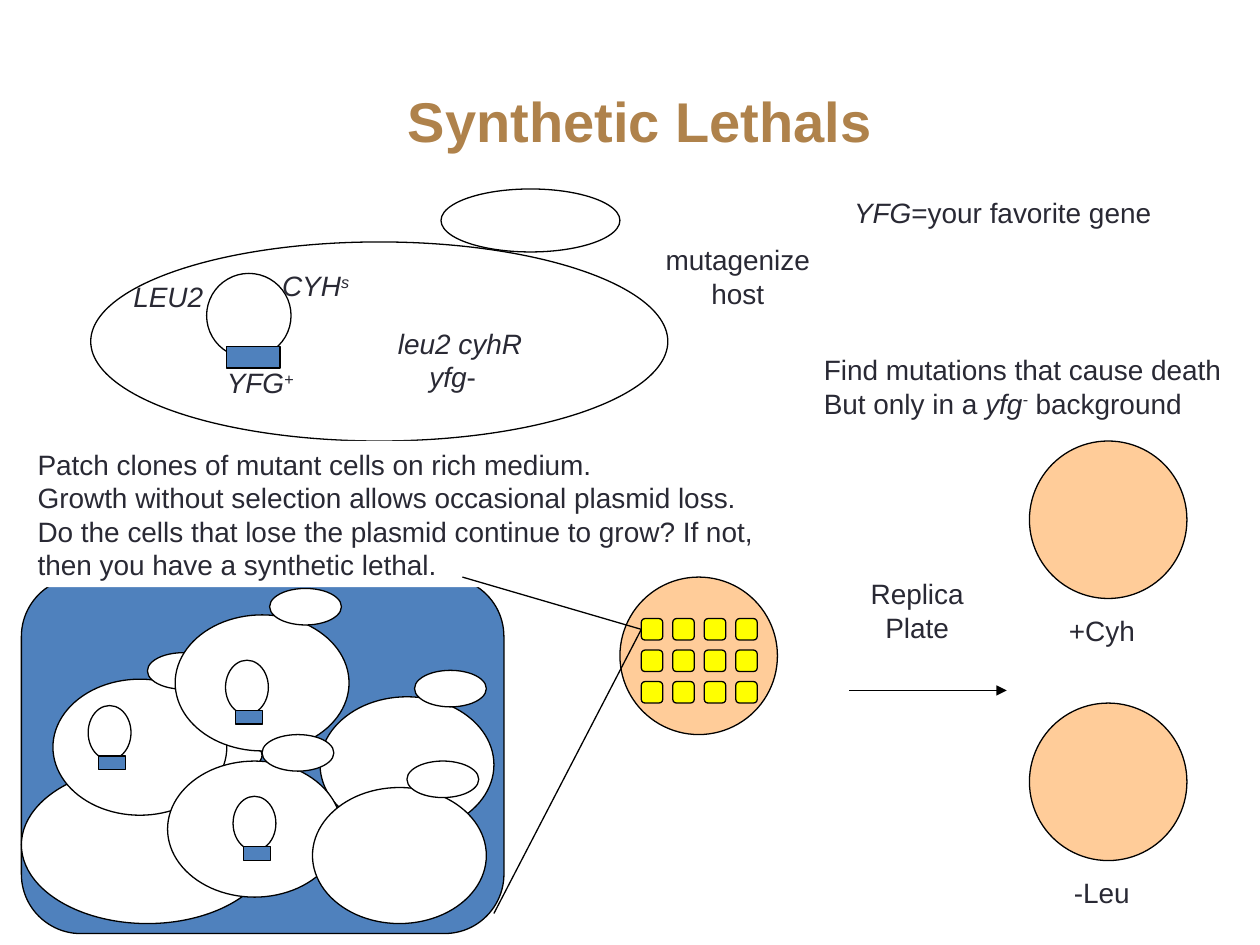
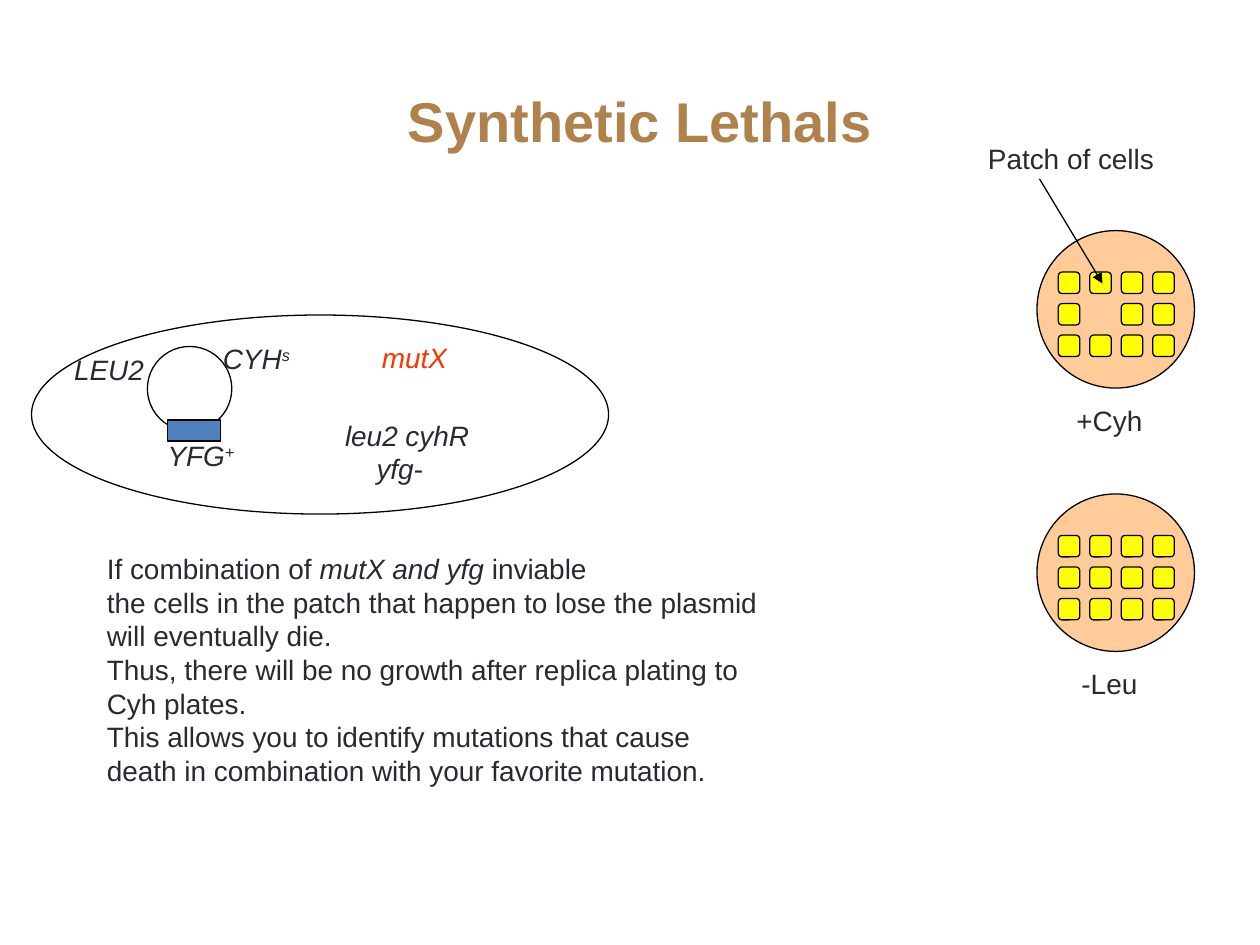
import itertools
from dataclasses import dataclass
from typing import NamedTuple

import pptx
import pptx.dml.color
import pptx.enum.shapes
import pptx.enum.text
import pptx.oxml
import pptx.oxml.ns
import pptx.util
from pptx.util import Inches

COLORS = {
    "title": "AF824B",
    "text": "292934",
    "mutation": "FF3300",
    "outline": "000000",
    "gene": "4F81BD",
    "agar": "FFCC99",
    "patch": "FFFF00",
    "white": "FFFFFF",
}
FONT = "Arial"
Shapes = pptx.enum.shapes.MSO_SHAPE
Align = pptx.enum.text.PP_ALIGN
Anchor = pptx.enum.text.MSO_ANCHOR


class Run(NamedTuple):
    text: str
    italic: bool = False
    raised: bool = False


class Box(NamedTuple):
    left: float
    top: float
    width: float
    height: float

    def lengths(self) -> list:
        return [Inches(side) for side in self]


@dataclass
class Cell:
    body: Box
    bud: Box


@dataclass
class Plasmid:
    ring: Box
    gene_drop: float  # share of the ring height above the gene


@dataclass
class Plate:
    left: float
    top: float
    label: str = ""
    has_patches: bool = False
    dead_patches: tuple = ()


def rgb(name: str):
    return pptx.dml.color.RGBColor.from_string(COLORS[name])


def add_text(slide, box: Box, paragraphs: list, *, size=16, color="text", bold=False,
             align=Align.CENTER, anchor=Anchor.MIDDLE, wrap=False, indents=(), fill=None):
    """Each paragraph is a string or a list of Run."""
    label = slide.shapes.add_textbox(*box.lengths())
    if fill:
        label.fill.solid()
        label.fill.fore_color.rgb = rgb(fill)
    frame = label.text_frame
    frame.word_wrap = wrap
    frame.vertical_anchor = anchor
    for number, content in enumerate(paragraphs):
        paragraph = frame.paragraphs[0] if number == 0 else frame.add_paragraph()
        paragraph.alignment = align
        if indents:
            paragraph._p.get_or_add_pPr().set("marL", str(Inches(indents[number])))
        for piece in [Run(content)] if isinstance(content, str) else content:
            run = paragraph.add_run()
            run.text = piece.text
            run.font.name = FONT
            run.font.size = pptx.util.Pt(size)
            run.font.bold = bold
            run.font.italic = piece.italic
            run.font.color.rgb = rgb(color)
            if piece.raised:
                run._r.get_or_add_rPr().set("baseline", "30000")


def add_outlined(slide, kind, box: Box, fill: str | None = None):
    shape = slide.shapes.add_shape(kind, *box.lengths())
    shape.shadow.inherit = False
    if fill:
        shape.fill.solid()
        shape.fill.fore_color.rgb = rgb(fill)
    else:
        shape.fill.background()
    shape.line.color.rgb = rgb("outline")
    shape.line.width = pptx.util.Pt(0.75)
    return shape


def add_line(slide, start: tuple, end: tuple, arrow: bool = False):
    line = slide.shapes.add_connector(
        pptx.enum.shapes.MSO_CONNECTOR.STRAIGHT, *(Inches(v) for v in start + end))
    line.line.color.rgb = rgb("outline")
    line.line.width = pptx.util.Pt(0.75)
    if arrow:
        head = pptx.oxml.parse_xml(
            f'<a:tailEnd {pptx.oxml.ns.nsdecls("a")} type="triangle"/>')
        line.line._get_or_add_ln().append(head)
    line._element.spPr.append(
        pptx.oxml.parse_xml(f'<a:effectLst {pptx.oxml.ns.nsdecls("a")}/>'))
    return line


def add_title(slide):
    add_text(slide, Box(0.83, 0.33, 8.5, 1.25), ["Synthetic Lethals"],
             size=32, color="title", bold=True, wrap=True)


def add_plasmid(slide, plasmid: Plasmid):
    ring = plasmid.ring
    add_outlined(slide, Shapes.OVAL, ring)
    gene = Box(ring.left + 0.24 * ring.width, ring.top + plasmid.gene_drop * ring.height,
               0.63 * ring.width, 0.25 * ring.height)
    add_outlined(slide, Shapes.RECTANGLE, gene, "gene")


def add_host(slide, left: float, top: float, genotype: tuple):
    """Draw the host cell with its labelled plasmid and its own genotype."""
    add_plasmid(slide, Plasmid(Box(left + 0.92, top + 0.25, 0.67, 0.67), 0.87))
    markers = [
        (0.87, 0.93, [Run("YFG", True), Run("+", True, True)]),
        (1.31, 0.16, [Run("CYH", True), Run("s", True, True)]),
        (0.14, 0.25, [Run("LEU2", True)]),
    ]
    for dx, dy, runs in markers:
        add_text(slide, Box(left + dx, top + dy, 0.95, 0.37), [runs])
    add_outlined(slide, Shapes.OVAL, Box(left, top, 4.58, 1.58))
    add_text(slide, Box(*genotype, 1.37, 0.63),
             [[Run("leu2 cyhR", True)], [Run("yfg", True), Run("-")]],
             align=Align.LEFT, wrap=True, indents=(0, 0.25))


def add_plate(slide, plate: Plate) -> dict:
    """Draw a plate and return its patches by (row, column)."""
    add_outlined(slide, Shapes.OVAL, Box(plate.left, plate.top, 1.25, 1.25), "agar")
    if plate.label:
        add_text(slide, Box(plate.left - 0.05, plate.top + 1.32, 1.25, 0.37), [plate.label])
    patches = {}
    if plate.has_patches:
        for row, column in itertools.product(range(3), range(4)):
            if (row, column) not in plate.dead_patches:
                spot = Box(plate.left + 0.17 + 0.25 * column,
                           plate.top + 0.33 + 0.25 * row, 0.17, 0.17)
                patches[row, column] = add_outlined(
                    slide, Shapes.ROUNDED_RECTANGLE, spot, "patch")
    return patches


def add_cell(slide, cell: Cell):
    for part in (cell.body, cell.bud):
        add_outlined(slide, Shapes.OVAL, part, "white")


def add_colony(slide):
    """Draw the close-up of one patch: budding cells, some with a plasmid."""
    add_cell(slide, Cell(Box(0.17, 6.08, 2, 1.25), Box(1.25, 5.83, 0.83, 0.33)))
    for left, top in [(0.42, 5.39), (1.39, 4.88), (2.54, 5.53), (1.33, 6.04), (2.48, 6.25)]:
        add_cell(slide, Cell(Box(left, top, 1.38, 1.08),
                             Box(left + 0.75, top - 0.21, 0.57, 0.29)))
    for left, top in [(0.7, 5.6), (1.85, 6.32), (1.79, 5.24)]:
        add_plasmid(slide, Plasmid(Box(left, top, 0.34, 0.43), 0.93))


def build_screen(slide):
    add_outlined(slide, Shapes.ROUNDED_RECTANGLE, Box(0.17, 4.58, 3.83, 2.83), "gene")
    add_title(slide)
    add_host(slide, 0.72, 1.92, genotype=(3.06, 2.54))
    add_outlined(slide, Shapes.OVAL, Box(3.5, 1.5, 1.42, 0.5), "white")
    add_text(slide, Box(5.15, 1.88, 1.41, 0.63), ["mutagenize", "host"])
    add_colony(slide)
    add_text(slide, Box(0.2, 3.5, 5.89, 1.16), [
        "Patch clones of mutant cells on rich medium.",
        "Growth without selection allows occasional plasmid loss.",
        "Do the cells that lose the plasmid continue to grow? If not,",
        "then you have a synthetic lethal.",
    ], align=Align.LEFT, anchor=Anchor.TOP, fill="white")

    patches = add_plate(slide, Plate(4.92, 4.58, has_patches=True))
    for corner in [(3.67, 4.58), (3.92, 7.25)]:
        zoom_line = add_line(slide, (5.09, 5), corner)
        zoom_line.begin_connect(patches[0, 0], 1)

    add_text(slide, Box(6.81, 4.53, 0.94, 0.63), ["Replica", "Plate"])
    add_line(slide, (6.74, 5.48), (7.99, 5.48), arrow=True)
    for plate in [Plate(8.17, 3.5, "+Cyh"), Plate(8.17, 5.58, "-Leu")]:
        add_plate(slide, plate)

    add_text(slide, Box(6.44, 2.75, 3.36, 0.63), [
        "Find mutations that cause death",
        [Run("But only in a "), Run("yfg", True), Run("-", True, True), Run(" background")],
    ], align=Align.LEFT, anchor=Anchor.TOP)
    add_text(slide, Box(6.68, 1.5, 2.56, 0.36),
             [[Run("YFG", True), Run("=your favorite gene")]],
             align=Align.LEFT, anchor=Anchor.TOP)


def build_result(slide):
    add_title(slide)
    add_host(slide, 0.25, 2.5, genotype=(2.64, 3.27))
    add_text(slide, Box(2.93, 2.65, 0.72, 0.37), [[Run("mutX", True)]], color="mutation")
    for plate in [Plate(8.23, 1.83, "+Cyh", True, dead_patches=((1, 1),)),
                  Plate(8.23, 3.92, "-Leu", True)]:
        add_plate(slide, plate)
    add_text(slide, Box(7.74, 1.07, 1.52, 0.37), ["Patch of cells"])
    add_line(slide, (8.25, 1.42), (8.75, 2.25), arrow=True)
    add_text(slide, Box(0.75, 4.33, 5.43, 1.96), [
        [Run("If combination of "), Run("mutX and yfg", True), Run(" inviable")],
        "the cells in the patch that happen to lose the plasmid",
        "will eventually die.",
        "Thus, there will be no growth after replica plating to",
        "Cyh plates.",
        "This allows you to identify mutations that cause",
        "death in combination with your favorite mutation.",
    ], align=Align.LEFT, anchor=Anchor.TOP)


def main():
    deck = pptx.Presentation()
    deck.slide_width, deck.slide_height = Inches(10), Inches(7.5)
    for build in (build_screen, build_result):
        build(deck.slides.add_slide(deck.slide_layouts[6]))
    deck.save("out.pptx")


if __name__ == "__main__":
    main()
